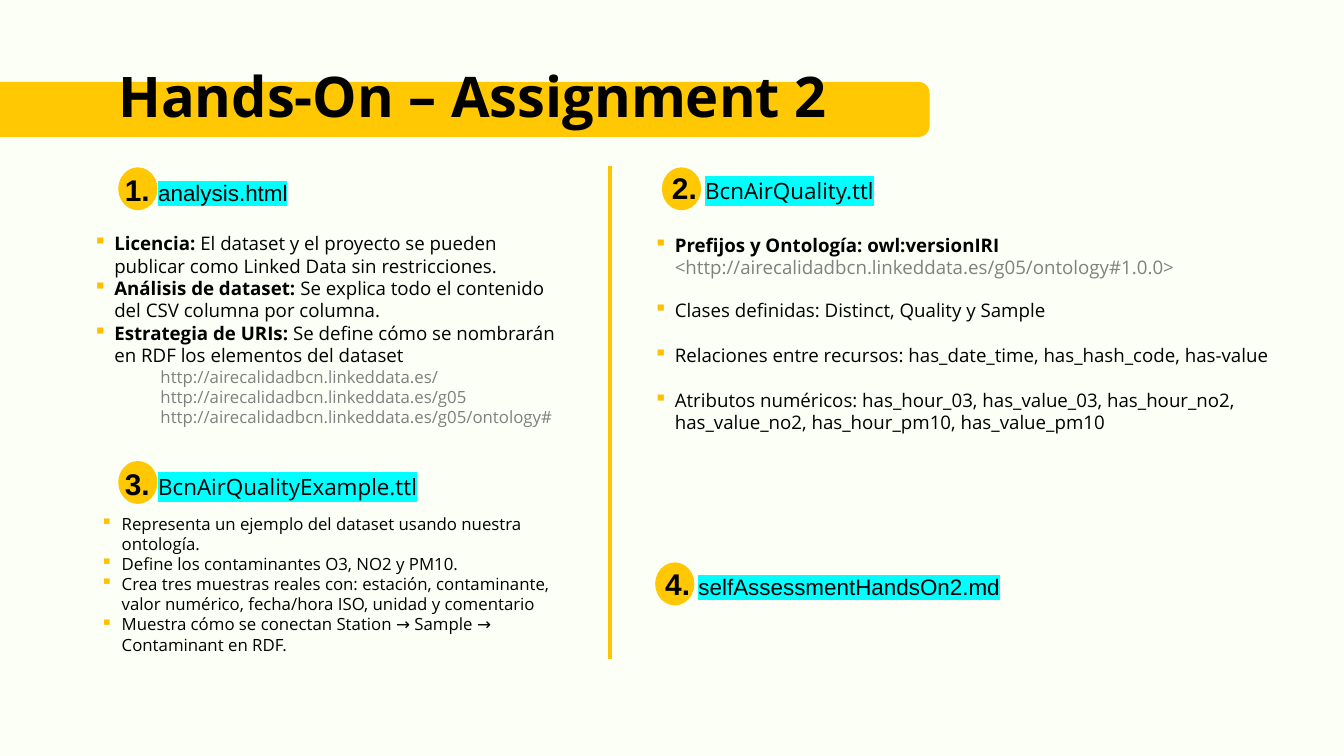
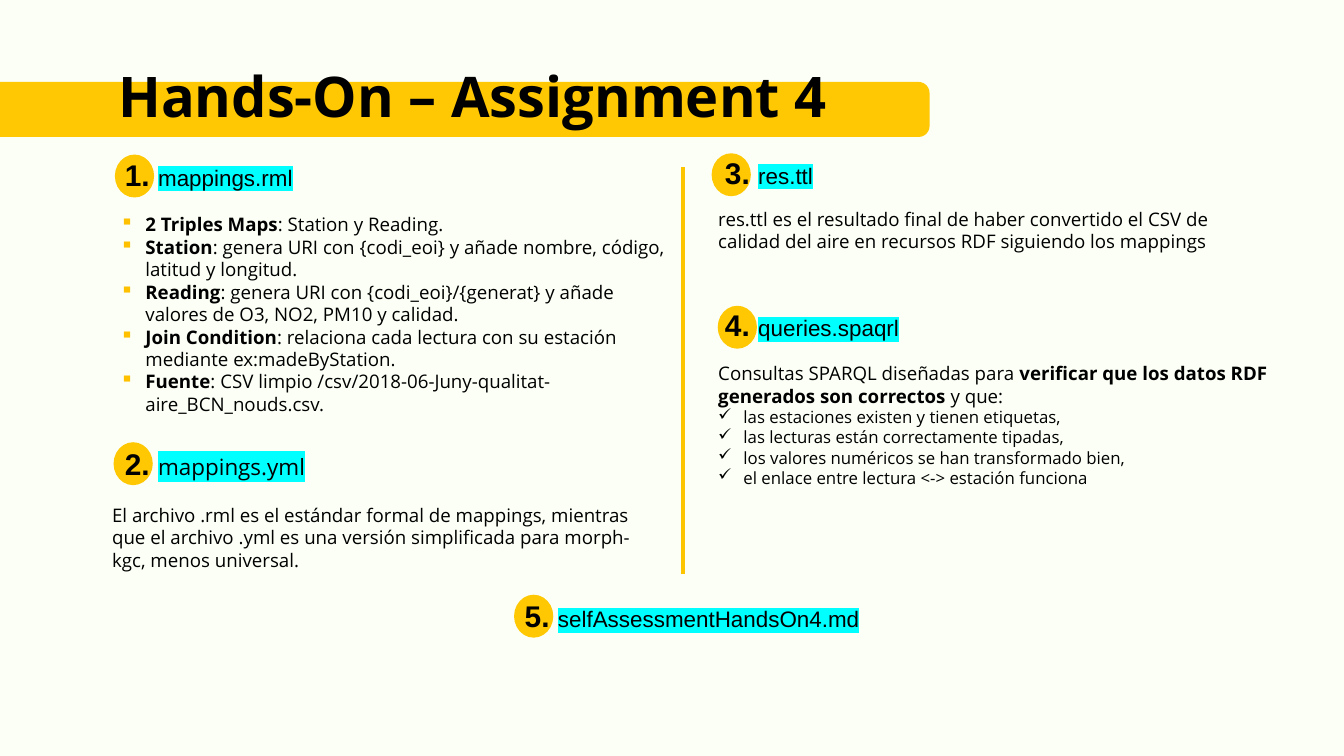
from dataclasses import dataclass

from lxml import etree
from pptx import Presentation
from pptx.dml.color import RGBColor
from pptx.enum import shapes, text
from pptx.oxml.ns import qn
from pptx.util import Pt

YELLOW, BLACK, GRAY = "FFC803", "000000", "808080"
PAPER, DIVIDER, BULLET, CYAN = "FBFFF5", "FCC500", "FFC000", "00FFFF"
SANS, ARIAL = "Open Sans", "Arial"
LINE = 1.2


@dataclass
class Para:
    runs: list
    size: int = 20
    bullet: str = ""
    indent: float = 0
    after: float = 0


def rgb(value):
    return RGBColor.from_string(value)


def item(*runs, size=20, indent=22.5, after=0):
    return Para(runs, size, "▪", indent, after)


def check(words):
    return Para([(words,)], 18, "✓", 27)


def add_color(parent, tag, color):
    node = etree.SubElement(parent, qn(tag))
    etree.SubElement(node, qn("a:srgbClr")).set("val", color)
    return node


def add_run(p, words, size, font=SANS, bold=False, color=BLACK, mark=None):
    r = p.add_run()
    r.text = words
    f = r.font
    f.size, f.name, f.bold = Pt(size), font, bold
    f.color.rgb = rgb(color)
    if mark:
        rpr = r._r.get_or_add_rPr()
        rpr.find(qn("a:solidFill")).addnext(add_color(rpr, "a:highlight", mark))


def add_bullet(p, char, indent):
    ppr = p._p.get_or_add_pPr()
    ppr.set("marL", str(Pt(indent)))
    if char:
        ppr.set("indent", str(-Pt(indent)))
        if char == "▪":
            add_color(ppr, "a:buClr", BULLET)
        etree.SubElement(ppr, qn("a:buChar")).set("char", char)


def add_filled(s, kind, x, y, w, h):
    sp = s.shapes.add_shape(kind, Pt(x), Pt(y), Pt(w), Pt(h))
    sp.shadow.inherit = False
    sp.fill.solid()
    sp.fill.fore_color.rgb = rgb(YELLOW)
    sp.line.fill.background()
    return sp


def add_text_frame(s, x, y, w, h):
    tf = s.shapes.add_textbox(Pt(x), Pt(y), Pt(w), Pt(h)).text_frame
    tf.word_wrap = True
    return tf


def add_titled_slide(prs, title):
    s = prs.slides.add_slide(prs.slide_layouts[5])
    s.background.fill.solid()
    s.background.fill.fore_color.rgb = rgb(PAPER)
    band = add_filled(s, shapes.MSO_SHAPE.ROUNDED_RECTANGLE, -204, 87.8, 1200, 59)
    band.adjustments[0] = 0.2
    sp = s.shapes.title
    band.element.addnext(sp.element)
    sp.left, sp.top, sp.width, sp.height = Pt(126.7), Pt(36.7), Pt(950), Pt(101.5)
    tf = sp.text_frame
    tf.margin_left = tf.margin_right = tf.margin_top = tf.margin_bottom = 0
    tf.vertical_anchor = text.MSO_ANCHOR.TOP
    tf.auto_size = text.MSO_AUTO_SIZE.NONE
    tf.word_wrap = True
    p = tf.paragraphs[0]
    p.alignment = text.PP_ALIGN.LEFT
    p.line_spacing = 1.4
    add_run(p, title, 60, bold=True)
    return s


def add_heading(s, box, badge_shift, number, name, font=ARIAL):
    x, y, w = box
    dx, dy = badge_shift
    add_filled(s, shapes.MSO_SHAPE.OVAL, x + dx, y + dy, 42, 46)
    p = add_text_frame(s, x, y, w, 46).paragraphs[0]
    p.line_spacing = Pt(32 * LINE)
    add_run(p, f"{number}. ", 32, ARIAL, True)
    add_run(p, name, 24, font, mark=CYAN)


def add_body(s, box, paras):
    tf = add_text_frame(s, *box)
    for i, para in enumerate(paras):
        p = tf.add_paragraph() if i else tf.paragraphs[0]
        p.line_spacing = Pt(para.size * LINE)
        p.space_after = Pt(para.after)
        add_bullet(p, para.bullet, para.indent)
        for words, *style in para.runs:
            bold, color = (style + [False, BLACK][len(style):])
            add_run(p, words, para.size, SANS, bold, color)


def add_divider(s, x, top, bottom):
    c = s.shapes.add_connector(
        shapes.MSO_CONNECTOR.STRAIGHT, Pt(x), Pt(top), Pt(x), Pt(bottom))
    c.line.color.rgb = rgb(DIVIDER)
    c.line.width = Pt(4.5)
    etree.SubElement(c._element.spPr, qn("a:effectLst"))


def build_assignment_2(prs):
    s = add_titled_slide(prs, "Hands-On – Assignment 2")
    add_divider(s, 653.8, 178, 705.6)

    add_heading(s, (126.7, 180, 390), (0, -0.7), 1, "analysis.html")
    base = "http://airecalidadbcn.linkeddata.es/"
    add_body(s, (92.9, 245, 523.4, 242), [
        item(("Licencia: ", True),
             ("El dataset y el proyecto se pueden publicar como Linked Data sin restricciones.",)),
        item(("Análisis de dataset: ", True),
             ("Se explica todo el contenido del CSV columna por columna.",)),
        item(("Estrategia de URIs: ", True),
             ("Se define cómo se nombrarán en RDF los elementos del dataset",)),
        *[Para([(base + tail, False, GRAY)], 18, indent=72)
          for tail in ("", "g05", "g05/ontology#")],
    ])

    add_heading(s, (712.8, 178.6, 350), (-3.6, 0.7), 2, "BcnAirQuality.ttl", SANS)
    add_body(s, (693.4, 247, 699.1, 223), [
        item(("Prefijos y Ontología: owl:versionIRI ", True),
             ("<http://airecalidadbcn.linkeddata.es/g05/ontology#1.0.0>", False, GRAY), after=22),
        item(("Clases definidas: Distinct, Quality y Sample",), after=24),
        item(("Relaciones entre recursos: has_date_time, has_hash_code, has-value",), after=24),
        item(("Atributos numéricos: has_hour_03, has_value_03, has_hour_no2, "
              "has_value_no2, has_hour_pm10, has_value_pm10",)),
    ])

    add_heading(s, (126.7, 495.4, 456), (0, -1.5), 3, "BcnAirQualityExample.ttl", SANS)
    add_body(s, (100.8, 546.5, 507.6, 160), [item((words,), size=18) for words in (
        "Representa un ejemplo del dataset usando nuestra ontología.",
        "Define los contaminantes O3, NO2 y PM10.",
        "Crea tres muestras reales con: estación, contaminante, valor numérico, "
        "fecha/hora ISO, unidad y comentario",
        "Muestra cómo se conectan Station → Sample → Contaminant en RDF.",
    )])

    add_heading(s, (705.6, 602.6, 456), (-3.6, 0), 4, "selfAssessmentHandsOn2.md")


def build_assignment_4(prs):
    s = add_titled_slide(prs, "Hands-On – Assignment 4")
    add_divider(s, 732.2, 179.3, 614.9)

    add_heading(s, (126.7, 164.2, 390), (-3.6, 1.4), 1, "mappings.rml")
    add_body(s, (121.7, 225, 610.6, 254), [
        item((name, True), (words,), indent=27) for name, words in (
            ("2 Triples Maps", ": Station y Reading."),
            ("Station", ": genera URI con {codi_eoi} y añade nombre, código, latitud y longitud."),
            ("Reading", ": genera URI con {codi_eoi}/{generat} y añade valores de O3, NO2, "
                        "PM10 y calidad."),
            ("Join Condition", ": relaciona cada lectura con su estación mediante "
                               "ex:madeByStation."),
            ("Fuente", ": CSV limpio /csv/2018-06-Juny-qualitat-aire_BCN_nouds.csv."),
        )])

    add_heading(s, (126.7, 473.8, 456), (-5, 0), 2, "mappings.yml", SANS)
    add_body(s, (113, 536, 589.7, 80), [Para([(
        "El archivo .rml es el estándar formal de mappings, mientras que el archivo .yml "
        "es una versión simplificada para morph-kgc, menos universal.",)])])

    add_heading(s, (769.7, 162, 390), (-7.2, 2.2), 3, "res.ttl")
    add_body(s, (762.5, 219, 592.6, 55), [Para([(
        "res.ttl es el resultado final de haber convertido el CSV de calidad del aire "
        "en recursos RDF siguiendo los mappings",)])])

    add_heading(s, (769.7, 325.4, 390), (-0.7, 2.2), 4, "queries.spaqrl")
    add_body(s, (762.5, 384.5, 620, 167), [
        Para([("Consultas SPARQL diseñadas para ",),
              ("verificar que los datos RDF generados son correctos", True),
              (" y que:",)]),
        check("las estaciones existen y tienen etiquetas,"),
        check("las lecturas están correctamente tipadas,"),
        check("los valores numéricos se han transformado bien,"),
        check("el enlace entre lectura <-> estación funciona"),
    ])

    add_heading(s, (555.1, 637.2, 456), (-4.3, 0), 5, "selfAssessmentHandsOn4.md")


def main():
    prs = Presentation()
    prs.slide_width, prs.slide_height = Pt(1440), Pt(810)
    build_assignment_2(prs)
    build_assignment_4(prs)
    prs.save("out.pptx")


if __name__ == "__main__":
    main()
